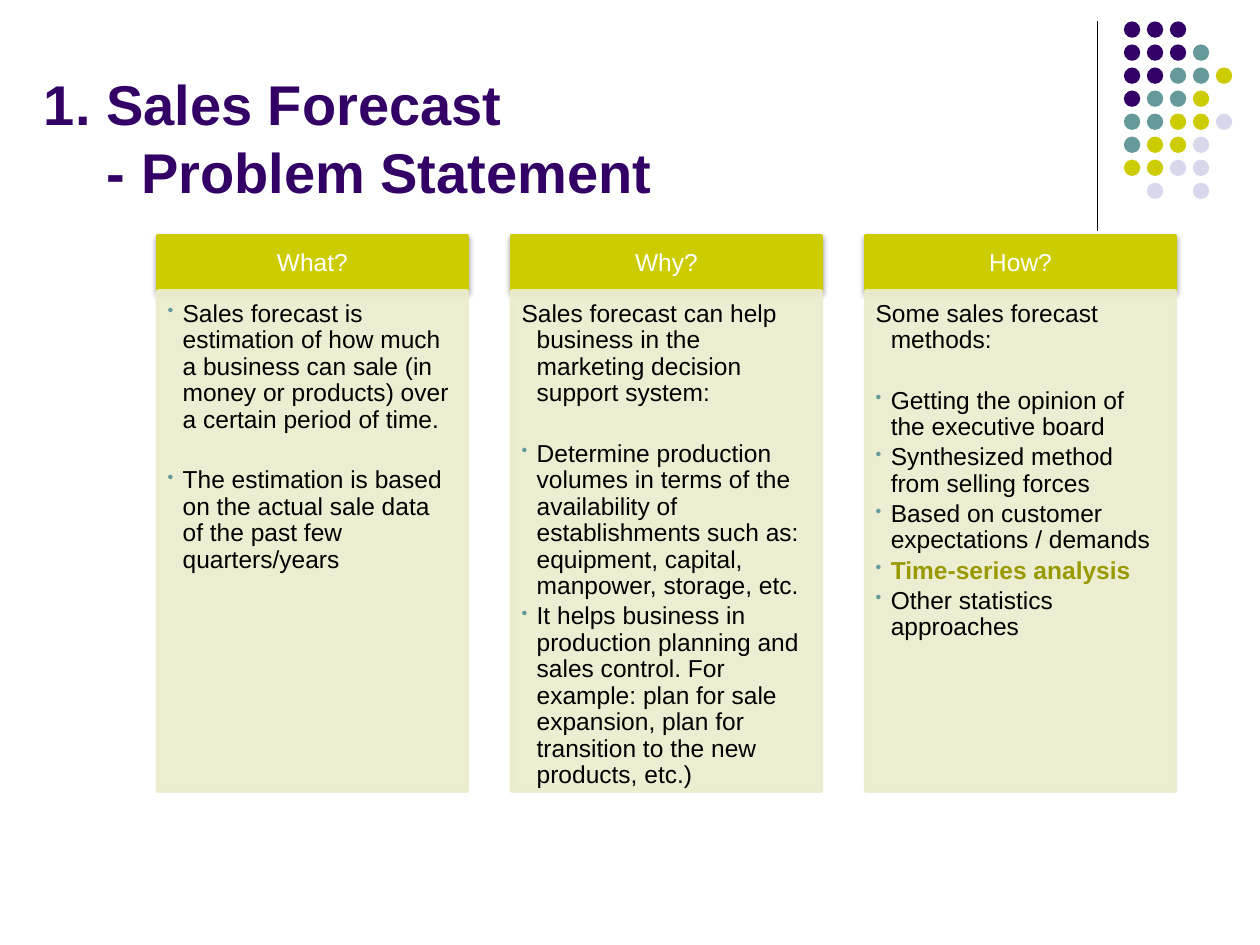
import pptx
import pptx.util
import pptx.dml.color
import pptx.enum.shapes
import pptx.enum.text
import pptx.oxml
import pptx.oxml.ns
from pptx.util import Inches

COLORS = {
    "purple": "330066", "teal": "669999", "lime": "CCCC00", "lavender": "D8D8EC",
    "cream": "ECECCC", "olive": "999900", "black": "000000", "white": "FFFFFF",
}
FONT = "Arial"
DOT_ROWS = ["PPP", "PPPT", "PPTTL", "PTTL", "TTLLV", "TLLV", "LLVV", " V V"]
DOT_COLORS = {"P": "purple", "T": "teal", "L": "lime", "V": "lavender"}
COLUMNS = [
    ("What?", [
        ("Sales forecast is estimation of how much a business can sale (in money or products) "
         "over a certain period of time.", "bullet gap"),
        ("The estimation is based on the actual sale data of the past few quarters/years", "bullet"),
    ]),
    ("Why?", [
        ("Sales forecast can help business in the marketing decision support system:", "gap"),
        ("Determine production volumes in terms of the availability of establishments such as: "
         "equipment, capital, manpower, storage, etc.", "bullet"),
        ("It helps business in production planning and sales control. For example: plan for sale "
         "expansion, plan for transition to the new products, etc.)", "bullet"),
    ]),
    ("How?", [
        ("Some sales forecast methods:", "gap"),
        ("Getting the opinion of the executive board", "bullet"),
        ("Synthesized method from selling forces", "bullet"),
        ("Based on customer expectations / demands", "bullet"),
        ("Time-series analysis", "bullet strong"),
        ("Other statistics approaches", "bullet"),
    ]),
]


def rgb(name):
    return pptx.dml.color.RGBColor.from_string(COLORS[name])


def add_xml(parent, xml):
    el = pptx.oxml.parse_xml(xml.replace(" ", f" {pptx.oxml.ns.nsdecls('a')} ", 1))
    parent.append(el)
    return el


def add_run(p, text, size, color, bold=False):
    r = p.add_run()
    r.text = text
    r.font.name = FONT
    r.font.size = pptx.util.Pt(size)
    r.font.bold = bold
    r.font.color.rgb = rgb(color)


def set_frame(tf, anchor, insets):
    tf.word_wrap = True
    tf.vertical_anchor = anchor
    tf.margin_left, tf.margin_top, tf.margin_right, tf.margin_bottom = map(Inches, insets)


def add_panel(s, x, y, w, h, color):
    sp = s.shapes.add_shape(pptx.enum.shapes.MSO_SHAPE.RECTANGLE,
                            Inches(x), Inches(y), Inches(w), Inches(h))
    sp.shadow.inherit = False
    sp.fill.solid()
    sp.fill.fore_color.rgb = rgb(color)
    sp.line.color.rgb = rgb(color)
    sp.line.width = pptx.util.Pt(2)
    return sp


def add_title(s, x, y, w, h):
    tf = s.shapes.add_textbox(Inches(x), Inches(y), Inches(w), Inches(h)).text_frame
    set_frame(tf, pptx.enum.text.MSO_ANCHOR.BOTTOM, (0.1, 0.05, 0.1, 0.05))
    p = tf.paragraphs[0]
    add_run(p, "1. Sales Forecast ", 32, "purple", True)
    p.add_line_break()
    add_run(p, "\t- Problem Statement", 32, "purple", True)


def add_divider(s, x, top, bottom):
    line = s.shapes.add_connector(pptx.enum.shapes.MSO_CONNECTOR.STRAIGHT,
                                  Inches(x), Inches(top), Inches(x), Inches(bottom))
    line.line.color.rgb = rgb("black")
    line.line.width = pptx.util.Pt(0.75)
    add_xml(line._element.spPr, "<a:effectLst />")


def add_dots(s, x, y, w, h, size=0.13):
    group = s.shapes.add_group_shape()
    dx = (w - size) / (max(map(len, DOT_ROWS)) - 1)
    dy = (h - size) / (len(DOT_ROWS) - 1)
    for row, keys in enumerate(DOT_ROWS):
        for col, key in enumerate(keys):
            if key == " ":
                continue
            sp = group.shapes.add_shape(pptx.enum.shapes.MSO_SHAPE.OVAL,
                                        Inches(x + col * dx), Inches(y + row * dy),
                                        Inches(size), Inches(size))
            sp.shadow.inherit = False
            sp.fill.solid()
            sp.fill.fore_color.rgb = rgb(DOT_COLORS[key])
            sp.line.fill.background()


def add_header(s, x, y, w, h, text):
    sp = add_panel(s, x, y, w, h, "lime")
    effects = sp._element.spPr.find(pptx.oxml.ns.qn("a:effectLst"))
    add_xml(effects, '<a:outerShdw blurRad="39370" dist="20320" dir="5400000" rotWithShape="0">'
                     f'<a:srgbClr val="{COLORS["black"]}"><a:alpha val="38000"/></a:srgbClr>'
                     '</a:outerShdw>')
    set_frame(sp.text_frame, pptx.enum.text.MSO_ANCHOR.MIDDLE, (0.11, 0.06, 0.11, 0.06))
    p = sp.text_frame.paragraphs[0]
    p.alignment = pptx.enum.text.PP_ALIGN.CENTER
    p.line_spacing = 0.9
    add_run(p, text, 14, "white")


def add_body(s, x, y, w, h, items):
    sp = add_panel(s, x, y, w, h, "cream")
    for clr in sp._element.spPr.iter(pptx.oxml.ns.qn("a:srgbClr")):
        add_xml(clr, '<a:alpha val="90000"/>')
    tf = sp.text_frame
    set_frame(tf, pptx.enum.text.MSO_ANCHOR.TOP, (0.08, 0.08, 0.11, 0.12))
    for i, (text, style) in enumerate(items):
        p = tf.add_paragraph() if i else tf.paragraphs[0]
        p.level = 1
        p.alignment = pptx.enum.text.PP_ALIGN.LEFT
        p.line_spacing = 0.9
        p.space_after = pptx.util.Pt(19.4 if "gap" in style else 2.1)
        pPr = p._p.get_or_add_pPr()
        pPr.set("marL", str(Inches(0.12)))
        pPr.set("indent", str(Inches(-0.12)))
        if "bullet" in style:
            add_xml(pPr, f'<a:buClr ><a:srgbClr val="{COLORS["teal"]}"/></a:buClr>')
            add_xml(pPr, '<a:buSzPct val="70000"/>')
            add_xml(pPr, '<a:buChar char="•"/>')
        else:
            add_xml(pPr, "<a:buNone />")
        strong = "strong" in style
        add_run(p, text, 14, "olive" if strong else "black", strong)


def add_columns(s, x, y, w, h, gap=0.35, header_h=0.44):
    col_w = (w - gap * (len(COLUMNS) - 1)) / len(COLUMNS)
    for i, (heading, items) in enumerate(COLUMNS):
        left = x + i * (col_w + gap)
        add_header(s, left, y, col_w, header_h, heading)
        add_body(s, left, y + header_h, col_w, h - header_h, items)


def main():
    prs = pptx.Presentation()
    prs.slide_width, prs.slide_height = Inches(10), Inches(7.5)
    s = prs.slides.add_slide(prs.slide_layouts[6])
    s.background.fill.solid()
    s.background.fill.fore_color.rgb = rgb("white")
    add_divider(s, 8.71, 0.17, 1.83)
    add_dots(s, 8.92, 0.17, 0.86, 1.41)
    add_title(s, 0.25, 0.25, 8.42, 1.42)
    add_columns(s, 1.25, 1.87, 8.08, 4.41)
    prs.save("out.pptx")


if __name__ == "__main__":
    main()
